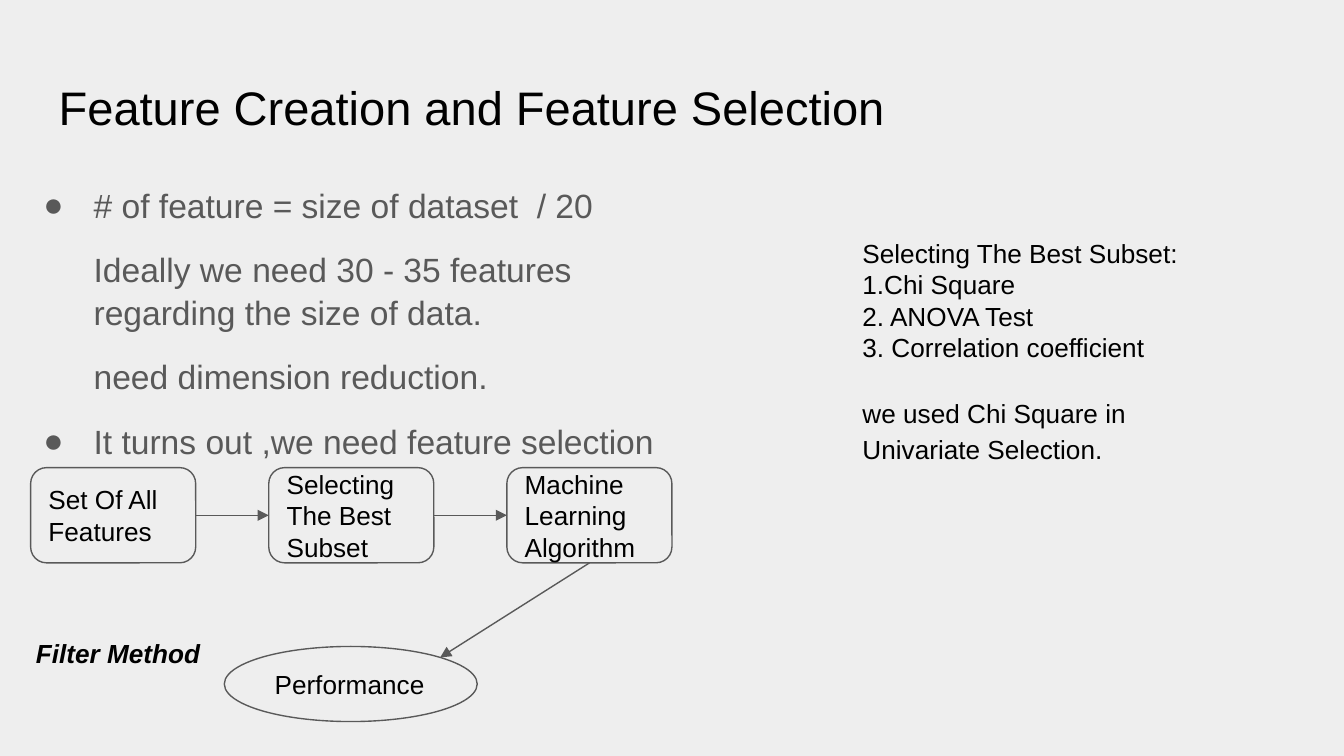
import math
from dataclasses import dataclass

import pptx
import pptx.dml.color
import pptx.enum.shapes
import pptx.enum.text
import pptx.oxml.ns
import pptx.util
from lxml import etree
from pptx.util import Cm, Pt


@dataclass(frozen=True)
class Theme:
    font: str = "Arial"
    background: str = "EEEEEE"
    text: str = "000000"
    muted: str = "595959"
    title_size: float = 25.2
    body_size: float = 18
    small_size: float = 14
    line_width: float = 0.75


theme = Theme()
rgb = pptx.dml.color.RGBColor.from_string
qn = pptx.oxml.ns.qn
shapes = pptx.enum.shapes.MSO_SHAPE


def write(sp, lines, size, color=theme.text, anchor="TOP"):
    """Fill a shape with left-aligned paragraphs in one style."""
    tf = sp.text_frame
    tf.text = "\n".join(lines)
    tf.word_wrap = True
    tf.vertical_anchor = getattr(pptx.enum.text.MSO_ANCHOR, anchor)
    tf.margin_left = tf.margin_right = tf.margin_top = tf.margin_bottom = Cm(0.25)
    for p in tf.paragraphs:
        p.alignment = pptx.enum.text.PP_ALIGN.LEFT
        for r in p.runs:
            r.font.name = theme.font
            r.font.size = Pt(size)
            r.font.color.rgb = rgb(color)
    return tf


def add_node(kind, left, top, width, height, label):
    """Add an outlined flow chart node."""
    sp = s.shapes.add_shape(kind, left, top, width, height)
    sp.shadow.inherit = False
    sp.fill.solid()
    sp.fill.fore_color.rgb = rgb(theme.background)
    sp.line.color.rgb = rgb(theme.muted)
    sp.line.width = Pt(theme.line_width)
    write(sp, [label], theme.small_size, anchor="MIDDLE")
    return sp


prs = pptx.Presentation()
prs.slide_width, prs.slide_height = Cm(25.4), Cm(14.29)
s = prs.slides.add_slide(prs.slide_layouts[6])
s.background.fill.solid()
s.background.fill.fore_color.rgb = rgb(theme.background)

# Title
title = s.shapes.add_textbox(Cm(0.86), Cm(1.24), Cm(23.67), Cm(1.6))
write(title, ["Feature Creation and Feature Selection"], theme.title_size)

# Body: bulleted points, with plain paragraphs at the same indent
points = [
    ("# of feature = size of dataset  / 20", True),
    ("Ideally we need 30 - 35 features regarding the size of data.", False),
    ("need dimension reduction.", False),
    ("It turns out ,we need feature selection", True),
]
body = s.shapes.add_textbox(Cm(0.25), Cm(3.2), Cm(13.51), Cm(5.94))
tf = write(body, [text for text, _ in points], theme.body_size, theme.muted)
for i, (p, (_, bulleted)) in enumerate(zip(tf.paragraphs, points)):
    p.line_spacing = 1.05
    p.space_before = Pt(12 if i else 0)
    pPr = p._p.get_or_add_pPr()
    pPr.set("marL", str(Cm(1.27)))
    pPr.set("indent", str(Cm(-0.95) if bulleted else 0))
    if bulleted:
        color = etree.SubElement(pPr, qn("a:buClr"))
        etree.SubElement(color, qn("a:srgbClr"), val=theme.muted)
        etree.SubElement(pPr, qn("a:buFont"), typeface=theme.font)
        etree.SubElement(pPr, qn("a:buChar"), char="●")

# Flow chart nodes
steps = ["Set Of All Features", "Selecting The Best Subset", "Machine Learning Algorithm"]
boxes = [
    add_node(shapes.ROUNDED_RECTANGLE, Cm(0.58 + 4.5 * i), Cm(8.84), Cm(3.12), Cm(1.8), label)
    for i, label in enumerate(steps)
]
result = add_node(shapes.OVAL, Cm(4.24), Cm(12.22), Cm(4.78), Cm(1.42), "Performance")

# Arrows: box to box, then from the last box to the ellipse's upper right
reach = math.sqrt(0.5) / 2
ellipse_x = int(result.left + result.width * (0.5 + reach))
ellipse_y = int(result.top + result.height * (0.5 - reach))
links = [(boxes[0], 3, boxes[1]), (boxes[1], 3, boxes[2]), (boxes[2], 2, None)]
for source, side, target in links:
    cxn = s.shapes.add_connector(
        pptx.enum.shapes.MSO_CONNECTOR.STRAIGHT, 0, 0, ellipse_x, ellipse_y
    )
    cxn.begin_connect(source, side)
    if target is not None:
        cxn.end_connect(target, 1)
    cxn.line.color.rgb = rgb(theme.muted)
    cxn.line.width = Pt(theme.line_width)
    etree.SubElement(cxn.line._get_or_add_ln(), qn("a:tailEnd"), type="triangle")
    etree.SubElement(cxn._element.spPr, qn("a:effectLst"))

# Flow chart caption
caption = s.shapes.add_textbox(Cm(0.43), Cm(11.79), Cm(4.42), Cm(1.12))
r = write(caption, ["Filter Method"], theme.small_size).paragraphs[0].runs[0]
r.font.bold = r.font.italic = True

# Selection methods
methods = [
    "Selecting The Best Subset:",
    "1.Chi Square",
    "2. ANOVA Test",
    "3. Correlation coefficient",
    "we used Chi Square in Univariate Selection.",
]
notes = s.shapes.add_textbox(Cm(16.05), Cm(4.24), Cm(7.7), Cm(5.92))
p = write(notes, methods, theme.small_size).paragraphs[-1]
p.line_spacing = 1.15
p.space_before = Pt(16)

prs.save("out.pptx")
